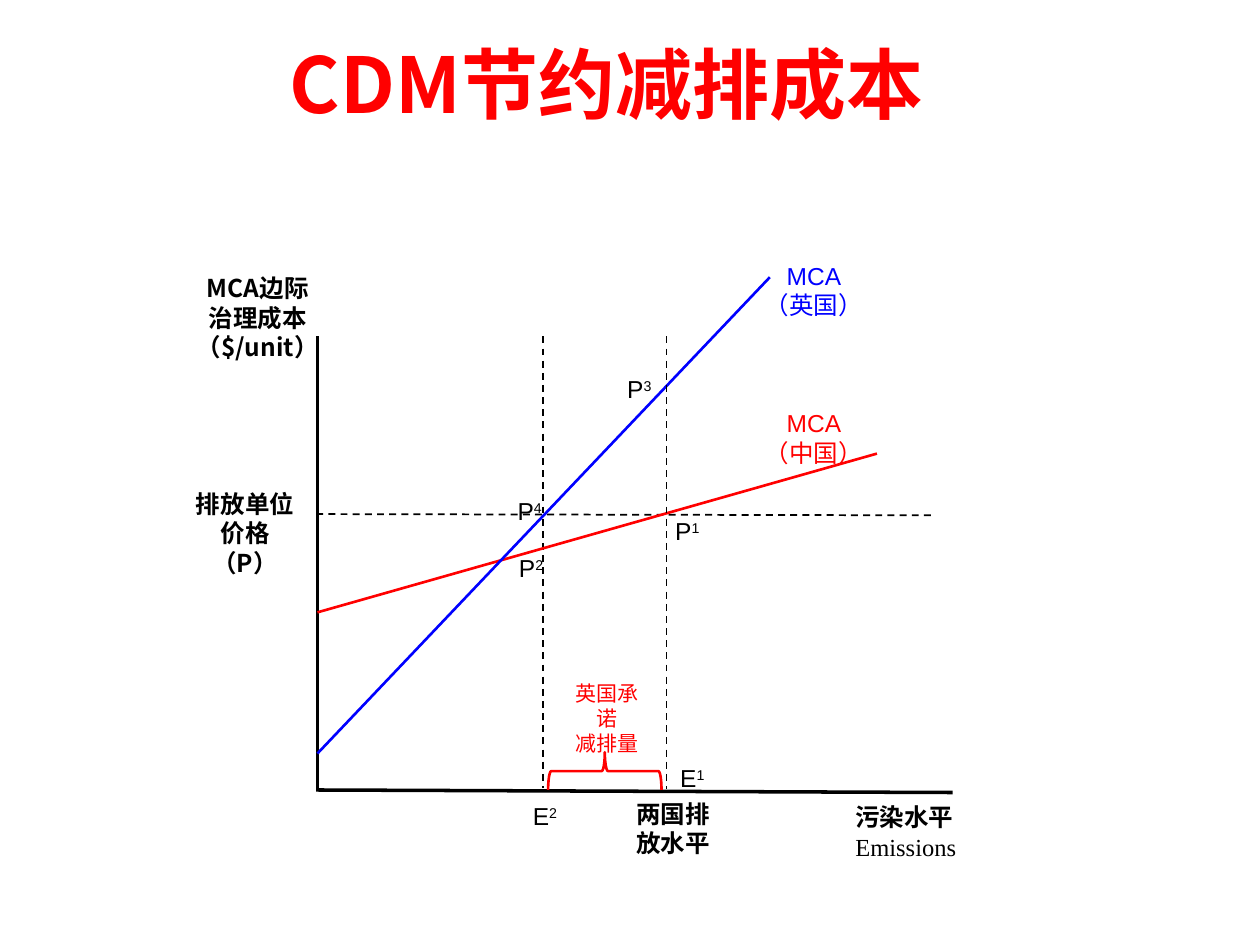
from dataclasses import dataclass

from pptx import Presentation
from pptx.dml.color import RGBColor
from pptx.enum.dml import MSO_LINE
from pptx.enum.shapes import MSO_CONNECTOR, MSO_SHAPE
from pptx.enum.text import MSO_ANCHOR, MSO_AUTO_SIZE, PP_ALIGN
from pptx.oxml.ns import qn
from pptx.util import Inches, Pt

COLORS = {"black": "000000", "red": "FF0000", "blue": "0000FF"}
CJK_FONT = "Noto Sans CJK SC"


@dataclass(frozen=True)
class Line:
    x1: float
    y1: float
    x2: float
    y2: float
    color: str = "black"
    weight: float = 1
    dashed: bool = False


@dataclass(frozen=True)
class Label:
    text: str
    left: float
    top: float
    width: float
    height: float
    color: str = "black"
    size: float = 14
    font: str = CJK_FONT
    bold: bool = False
    centered: bool = True
    wrap: bool = False
    superscript: str = ""


def color_of(name: str) -> RGBColor:
    return RGBColor.from_string(COLORS[name])


def point_label(letter: str, index: str, left: float, top: float,
                width: float = 0.39) -> Label:
    """Describe a point name such as P with a raised index."""
    return Label(letter, left, top, width, 0.33, font="Arial",
                 centered=False, wrap=width > 0.39, superscript=index)


def add_line(slide, line: Line) -> None:
    connector = slide.shapes.add_connector(
        MSO_CONNECTOR.STRAIGHT, Inches(line.x1), Inches(line.y1),
        Inches(line.x2), Inches(line.y2))
    connector.line.color.rgb = color_of(line.color)
    connector.line.width = Pt(line.weight)
    if line.dashed:
        connector.line.dash_style = MSO_LINE.DASH
    properties = connector._element.spPr
    properties.append(properties.makeelement(qn("a:effectLst"), {}))


def format_span(span, label: Label) -> None:
    span.font.size = Pt(label.size)
    span.font.bold = label.bold
    span.font.name = label.font
    span.font.color.rgb = color_of(label.color)
    properties = span.font._element
    east_asian = properties.makeelement(qn("a:ea"), {"typeface": CJK_FONT})
    properties.find(qn("a:latin")).addnext(east_asian)


def add_label(slide, label: Label):
    box = slide.shapes.add_textbox(Inches(label.left), Inches(label.top),
                                   Inches(label.width), Inches(label.height))
    frame = box.text_frame
    frame.text = label.text
    frame.word_wrap = label.wrap
    frame.auto_size = MSO_AUTO_SIZE.SHAPE_TO_FIT_TEXT
    if label.superscript:
        raised = frame.paragraphs[0].add_run()
        raised.text = label.superscript
        raised.font._element.set("baseline", "30000")
    for para in frame.paragraphs:
        para.alignment = PP_ALIGN.CENTER if label.centered else PP_ALIGN.LEFT
        for span in para.runs:
            format_span(span, label)
    return box


def add_reduction_brace(slide) -> None:
    brace = slide.shapes.add_shape(MSO_SHAPE.LEFT_BRACE, Inches(4.65),
                                   Inches(5.67), Inches(0.3), Inches(0.9))
    brace.rotation = 90
    brace.shadow.inherit = False
    brace.fill.background()
    brace.line.color.rgb = color_of("red")
    brace.line.width = Pt(1.5)


TITLE = Label("CDM节约减排成本", 0.76, 0.2, 8.11, 0.87, "red", 44,
              bold=True, wrap=True)

LINES = [
    Line(2.52, 2.67, 2.52, 6.26, weight=2),
    Line(2.51, 6.27, 7.56, 6.29, weight=2),
    Line(4.31, 2.67, 4.31, 6.25, dashed=True),
    Line(2.51, 4.08, 7.4, 4.09, dashed=True),
    Line(2.52, 4.86, 6.96, 3.6, "red", 1.5),
    Line(2.52, 5.98, 6.11, 2.2, "blue", 1.5),
    Line(5.29, 2.67, 5.29, 6.26, dashed=True),
]

LABELS = [
    Label("MCA边际\n治理成本\n（$/unit）", 1.35, 2.12, 1.39, 0.8, bold=True),
    Label("排放单位\n价格\v（P）", 1.35, 3.83, 1.19, 0.8, bold=True),
    Label("MCA\n（中国）", 5.97, 3.19, 0.98, 0.56, "red", font="Arial"),
    Label("MCA\n（英国）", 5.97, 2.02, 0.98, 0.56, "blue", font="Arial"),
    Label("两国排放水平", 4.95, 6.29, 0.86, 0.56, bold=True,
          centered=False, wrap=True),
    Label("英国承诺\n减排量", 4.39, 5.35, 0.86, 0.5, "red", 12, "Arial"),
    point_label("E", "1", 5.3, 6.01),
    point_label("E", "2", 4.13, 6.31),
    point_label("P", "1", 5.26, 4.05),
    point_label("P", "2", 4.02, 4.34),
    point_label("P", "4", 4.01, 3.89, 0.5),
    point_label("P", "3", 4.88, 2.92, 0.5),
]

EMISSIONS_AXIS = Label("污染水平\nEmissions", 6.69, 6.32, 1, 0.56,
                       font="Times New Roman", bold=True, centered=False)


def main() -> None:
    deck = Presentation()
    deck.slide_width, deck.slide_height = Inches(10), Inches(7.5)
    slide = deck.slides.add_slide(deck.slide_layouts[6])

    title = add_label(slide, TITLE).text_frame
    title.auto_size = MSO_AUTO_SIZE.NONE
    title.vertical_anchor = MSO_ANCHOR.BOTTOM

    for line in LINES:
        add_line(slide, line)
    add_reduction_brace(slide)
    for label in LABELS:
        add_label(slide, label)
    axis = add_label(slide, EMISSIONS_AXIS).text_frame
    axis.paragraphs[1].runs[0].font.bold = False

    deck.save("out.pptx")


if __name__ == "__main__":
    main()
